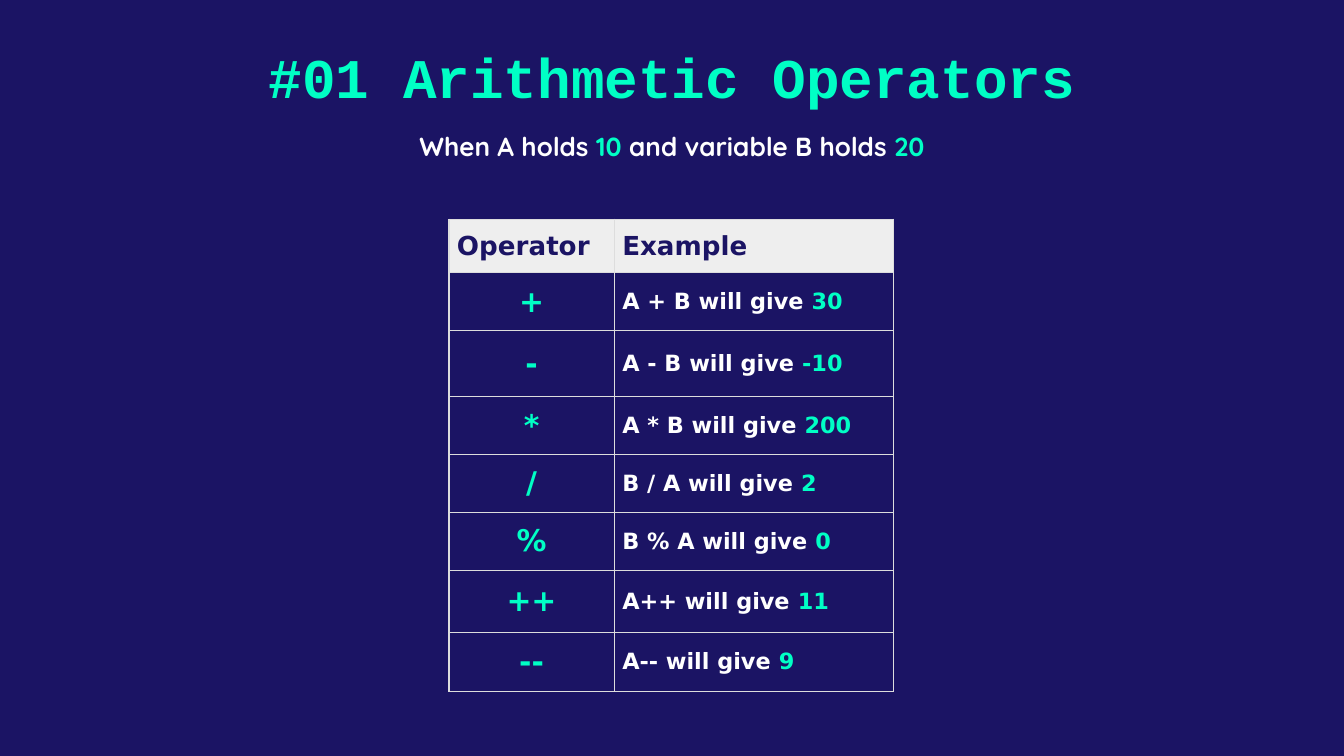
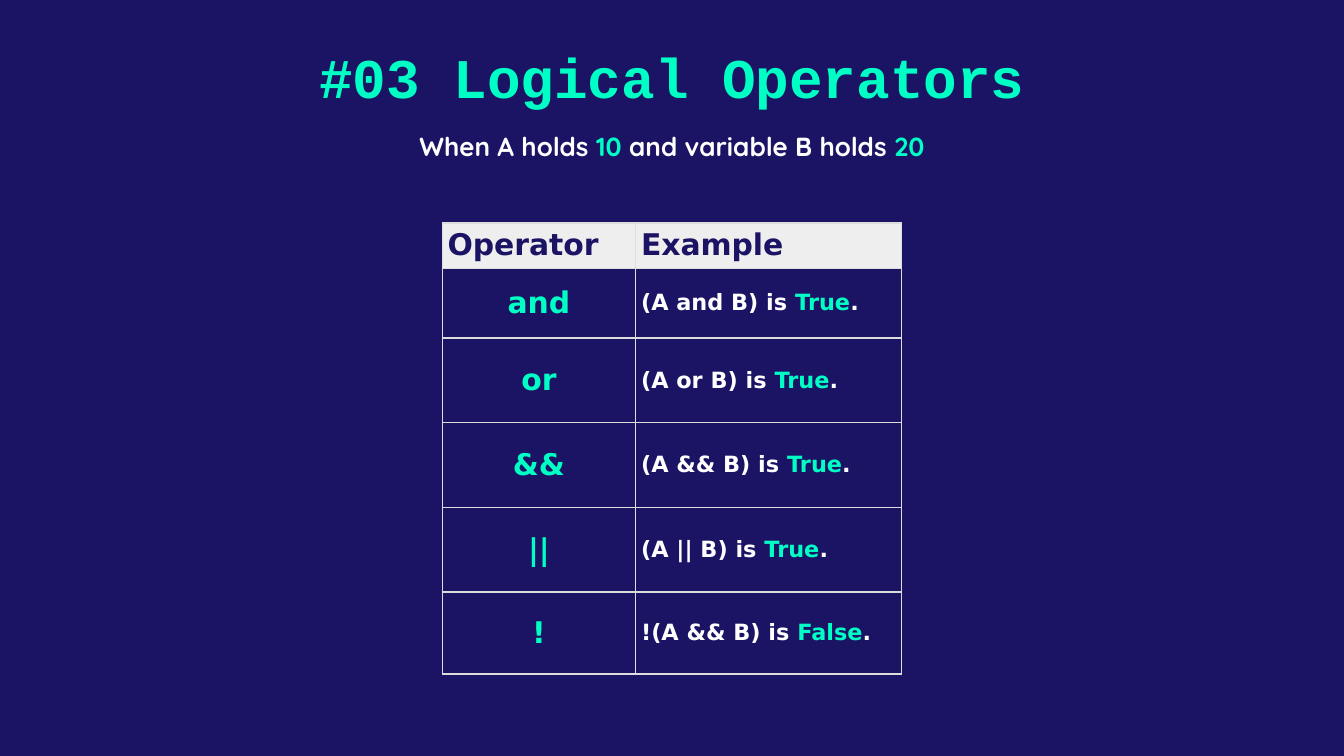
from lxml import etree
from pptx import Presentation, util as u
from pptx.dml.color import RGBColor
from pptx.enum import text
from pptx.oxml import ns

# Shared look
HUES = {"navy": "1B1464", "mint": "00FFC5", "white": "FFFFFF",
        "pale": "EEEEEE", "rule": "DDDDDD"}
FONTS = {"title": "Courier New", "note": "Quicksand", "table": "DejaVu Sans"}
ALIGN = text.PP_ALIGN
NOTE = ["When A holds ", "10", " and variable B holds ", "20"]

deck = Presentation()
deck.slide_width, deck.slide_height = u.Inches(10), u.Inches(5.625)
COL, ROW = deck.slide_width / 100, deck.slide_height / 100  # 1 % steps


def write(frame, parts, font, size, align, hues):
    """Fill the first paragraph with runs that cycle through the hues."""
    para = frame.paragraphs[0]
    para.alignment = align
    para.font.name, para.font.size, para.font.bold = font, u.Pt(size), True
    for i, part in enumerate(parts):
        run = para.add_run()
        run.text = part
        run.font.color.rgb = RGBColor.from_string(HUES[hues[i % len(hues)]])


def border(cell):
    """Draw a thin rule on all four sides of a cell."""
    props = cell._tc.get_or_add_tcPr()
    for side in ("lnL", "lnR", "lnT", "lnB"):
        line = etree.SubElement(props, ns.qn(f"a:{side}"), w=str(u.Pt(0.75)))
        fill = etree.SubElement(line, ns.qn("a:solidFill"))
        etree.SubElement(fill, ns.qn("a:srgbClr"), val=HUES["rule"])


# Lengths are percentages of the slide's width (left, cols) and height (top, rows)
SLIDES = [
    dict(title="#01 Arithmetic Operators", left=33.4, top=28.98,
         cols=[12.3, 20.8],
         rows=[7.11, 7.67, 8.73, 7.67, 7.67, 7.67, 8.2, 7.82],
         head=14, inset=0.06, align=ALIGN.JUSTIFY, note=40.6,
         body=[("+", "A + B will give ", "30"),
               ("-", "A - B will give ", "-10"),
               ("*", "A * B will give ", "200"),
               ("/", "B / A will give ", "2"),
               ("%", "B % A will give ", "0"),
               ("++", "A++ will give ", "11"),
               ("--", "A-- will give ", "9")]),
    dict(title="#03 Logical Operators", left=32.9, top=29.5,
         cols=[14.4, 19.8],
         rows=[5.95, 9.24, 11.2, 11.2, 11.2, 10.84],
         head=16, inset=0.04, align=ALIGN.LEFT, note=50,
         body=[("and", "(A and B) is ", "True", "."),
               ("or", "(A or B) is ", "True", "."),
               ("&&", "(A && B) is ", "True", "."),
               ("||", "(A || B) is ", "True", "."),
               ("!", "!(A && B) is ", "False", ".")]),
]

for item in SLIDES:
    slide = deck.slides.add_slide(deck.slide_layouts[5])
    slide.background.fill.solid()
    slide.background.fill.fore_color.rgb = RGBColor.from_string(HUES["navy"])

    # Title
    title = slide.shapes.title
    title.left, title.top = int(14 * COL), int(3.38 * ROW)
    title.width, title.height = int(72 * COL), int(12.98 * ROW)
    frame = title.text_frame
    frame.auto_size = text.MSO_AUTO_SIZE.NONE
    frame.vertical_anchor = text.MSO_ANCHOR.BOTTOM
    frame.margin_left = frame.margin_right = u.Inches(0.1)
    frame.margin_top = frame.margin_bottom = u.Inches(0.1)
    write(frame, [item["title"]], FONTS["title"], 30, ALIGN.CENTER, ["mint"])

    # Operator table
    cols, rows = item["cols"], item["rows"]
    table = slide.shapes.add_table(
        len(rows), len(cols), int(item["left"] * COL), int(item["top"] * ROW),
        int(sum(cols) * COL), int(sum(rows) * ROW)).table
    table.first_row = table.horz_banding = False
    for col, wide in zip(table.columns, cols):
        col.width = int(wide * COL)
    for row, high in zip(table.rows, rows):
        row.height = int(high * ROW)
    for cell in table.iter_cells():
        border(cell)
        cell.fill.background()
        cell.vertical_anchor = text.MSO_ANCHOR.MIDDLE
        cell.margin_left = cell.margin_right = u.Inches(item["inset"])
        cell.margin_top = cell.margin_bottom = u.Inches(item["inset"])

    for c, label in enumerate(("Operator", "Example")):
        cell = table.cell(0, c)
        cell.fill.solid()
        cell.fill.fore_color.rgb = RGBColor.from_string(HUES["pale"])
        write(cell.text_frame, [label], FONTS["table"], item["head"],
              item["align"], ["navy"])
    for r, (sign, *parts) in enumerate(item["body"], 1):
        write(table.cell(r, 0).text_frame, [sign], FONTS["table"], 16,
              ALIGN.CENTER, ["mint"])
        write(table.cell(r, 1).text_frame, parts, FONTS["table"], 12,
              item["align"], ["white", "mint"])

    # Note under the title, centred on the slide
    wide = item["note"]
    box = slide.shapes.add_textbox(int((100 - wide) / 2 * COL), int(16.36 * ROW),
                                   int(wide * COL), int(6.04 * ROW))
    box.text_frame.word_wrap = True
    box.text_frame.auto_size = text.MSO_AUTO_SIZE.SHAPE_TO_FIT_TEXT
    write(box.text_frame, NOTE, FONTS["note"], 14, ALIGN.CENTER,
          ["white", "mint"])

deck.save("out.pptx")
